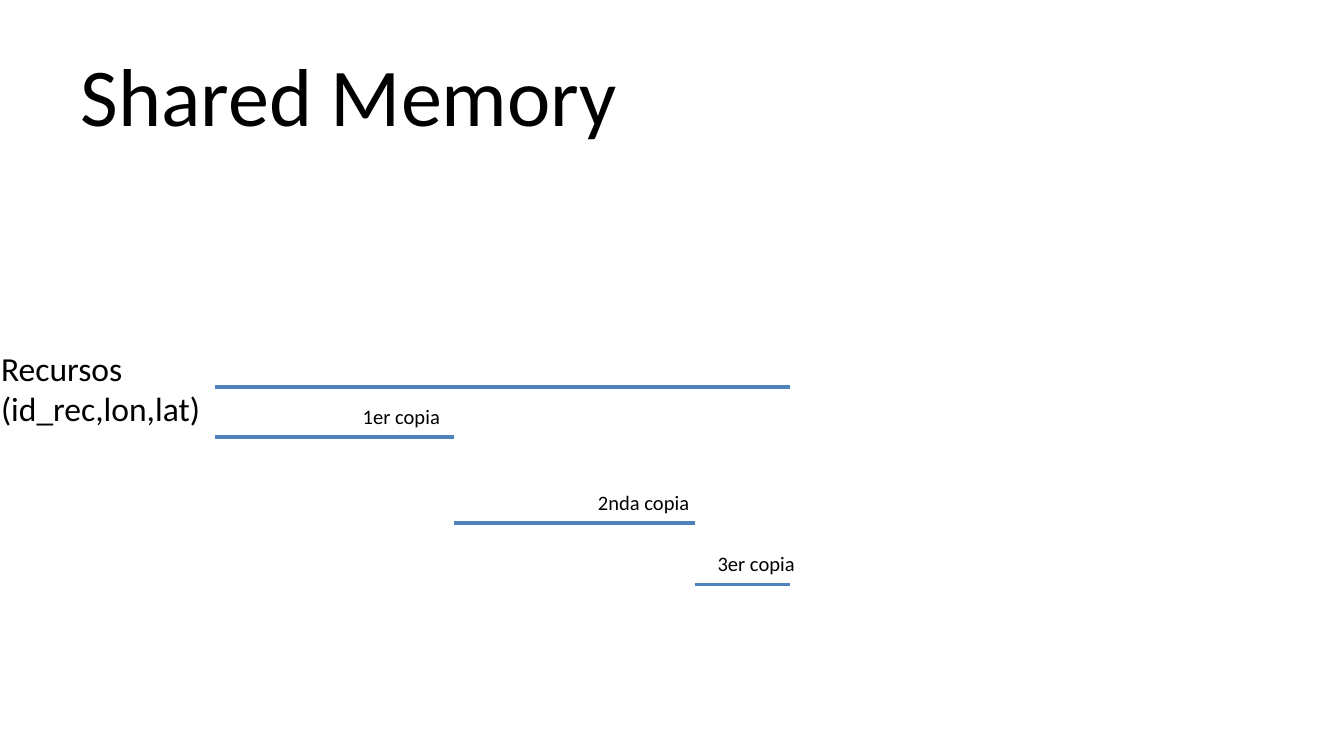
from lxml import etree
from pptx import Presentation
from pptx.dml.color import RGBColor
from pptx.enum import shapes, text
from pptx.oxml import ns
from pptx.util import Inches, Pt

COLORS = {"text": "000000", "line": "4F81BD"}


def write_lines(shape, lines, size):
    frame = shape.text_frame
    frame.text = "\n".join(lines)
    font_format = {"name": "Calibri", "size": Pt(size), "bold": False}
    for paragraph in frame.paragraphs:
        paragraph.alignment = text.PP_ALIGN.LEFT
        for run in paragraph.runs:
            for name, value in font_format.items():
                setattr(run.font, name, value)
            run.font.color.rgb = RGBColor.from_string(COLORS["text"])


presentation = Presentation()
presentation.slide_width = Inches(10)
presentation.slide_height = Inches(10 * 9 / 16)  # 16:9
slide = presentation.slides.add_slide(presentation.slide_layouts[5])

title = slide.shapes.title
title_place = {"left": 0.5, "top": 0.23, "width": 9, "height": 0.94}
for name, value in title_place.items():
    setattr(title, name, Inches(value))
write_lines(title, ["Shared Memory"], 44)
title.text_frame.vertical_anchor = text.MSO_ANCHOR.MIDDLE

# Each segment: start, end and height of the line; the copies follow the whole
segments = [
    (1.6, 5.88, 2.88),
    (1.6, 3.38, 3.25),
    (3.38, 5.17, 3.89),
    (5.17, 5.88, 4.35),
]
for start, end, y in segments:
    segment = slide.shapes.add_connector(
        shapes.MSO_CONNECTOR.STRAIGHT, Inches(start), Inches(y), Inches(end), Inches(y))
    segment.line.color.rgb = RGBColor.from_string(COLORS["line"])
    segment.line.width = Pt(2)
    etree.SubElement(segment._element.spPr, ns.qn("a:effectLst"))

labels = [
    (["Recursos", "(id_rec,lon,lat)"], -0.09, 2.54, 1.7, 0.71, 18),
    (["1er copia"], 2.6, 2.96, 0.78, 0.29, 11),
    (["2nda copia"], 4.35, 3.6, 0.89, 0.29, 11),
    (["3er copia"], 5.24, 4.05, 0.78, 0.29, 11),
]
for lines, left, top, width, height, size in labels:
    label = slide.shapes.add_textbox(Inches(left), Inches(top), Inches(width), Inches(height))
    label.text_frame.word_wrap = False
    label.text_frame.auto_size = text.MSO_AUTO_SIZE.SHAPE_TO_FIT_TEXT
    write_lines(label, lines, size)

presentation.save("out.pptx")
